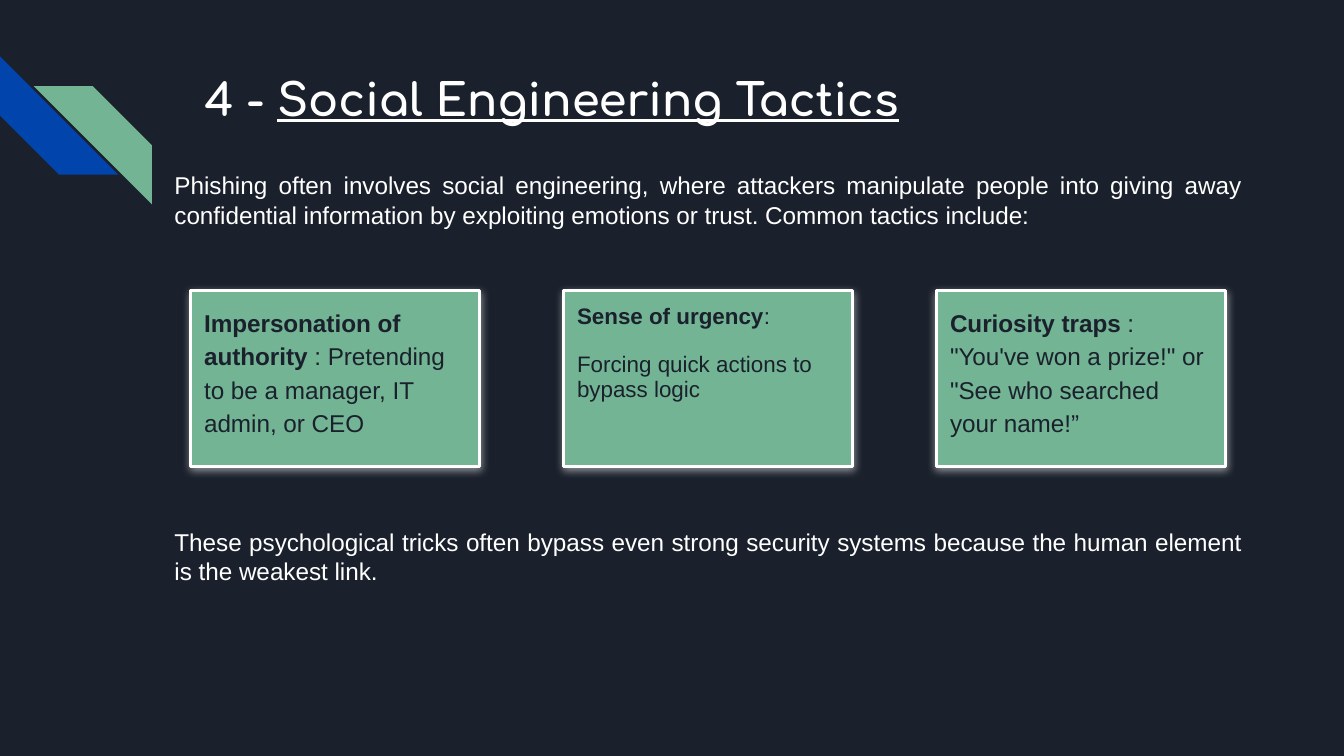
"""Build the slide on social engineering tactics."""
from lxml.etree import SubElement
from pptx import Presentation
from pptx.dml.color import RGBColor
from pptx.enum.shapes import MSO_SHAPE as Preset
from pptx.enum.text import MSO_ANCHOR as Anchor, MSO_AUTO_SIZE as AutoSize, PP_ALIGN as Align
from pptx.oxml.ns import qn
from pptx.util import Inches, Pt

NIGHT = RGBColor(0x1B, 0x21, 0x2C)
BLUE = RGBColor(0x01, 0x45, 0xAC)
GREEN = RGBColor(0x72, 0xB4, 0x94)
WHITE = RGBColor(0xFF, 0xFF, 0xFF)

SLIDE_WIDTH = 10
SLIDE_HEIGHT = SLIDE_WIDTH * 9 / 16
GRID_LEFT, GRID_RIGHT = 1.42, 9.12
CARD_TOP, CARD_WIDTH, CARD_HEIGHT = 2.16, 2.15, 1.31
STRIPE_SIZE = 0.88

FRAME = {
    "word_wrap": True,
    "auto_size": AutoSize.NONE,
    "vertical_anchor": Anchor.TOP,
    "margin_left": Inches(0.1),
    "margin_right": Inches(0.1),
    "margin_top": Inches(0.1),
    "margin_bottom": Inches(0.1),
}
HEADING = {"name": "Comfortaa", "size": Pt(24), "bold": True}
BODY = {"name": "Arial", "size": Pt(13)}
SMALL = {"name": "Arial", "size": Pt(12)}
STRONG = {"bold": True}
PLAIN = {"bold": False}
LOOSE = {"alignment": Align.LEFT, "line_spacing": 1.15, "space_after": Pt(12)}
TIGHT = {"alignment": Align.LEFT, "line_spacing": 0.95}
SPACED = TIGHT | {"space_before": Pt(12)}

INTRO = (
    "Phishing often involves social engineering, where attackers manipulate people into "
    "giving away confidential information by exploiting emotions or trust. "
    "Common tactics include:"
)
CLOSING = (
    "These psychological tricks often bypass even strong security systems because "
    "the human element is the weakest link."
)
TACTICS = [
    (BODY, [(LOOSE, [("Impersonation of authority", STRONG),
                     (" : Pretending to be a manager, IT admin, or CEO", PLAIN)])]),
    (SMALL, [(TIGHT, [("Sense of urgency", STRONG), (":", PLAIN)]),
             (SPACED, [("Forcing quick actions to bypass logic", PLAIN)])]),
    (BODY, [(LOOSE, [("Curiosity traps", STRONG),
                     (' : "You\'ve won a prize!" or "See who searched your name!”', PLAIN)])]),
]


def apply_format(target, values):
    """Set every format value on the target."""
    for attribute, value in values.items():
        setattr(target, attribute, value)


def write_text(frame, paragraphs, font, color):
    """Fill a text frame with formatted paragraphs and runs."""
    apply_format(frame, FRAME)
    for index, (layout, pieces) in enumerate(paragraphs):
        paragraph = frame.add_paragraph() if index else frame.paragraphs[0]
        apply_format(paragraph, layout)
        for wording, emphasis in pieces:
            run = paragraph.add_run()
            run.text = wording
            apply_format(run.font, font | emphasis)
            run.font.color.rgb = color


def add_stripe(slide, left, top, rotation, color):
    """Add one diagonal stripe of the corner ornament."""
    stripe = slide.shapes.add_shape(
        Preset.DIAGONAL_STRIPE, *map(Inches, (left, top, STRIPE_SIZE, STRIPE_SIZE)))
    stripe.shadow.inherit = False
    stripe.rotation = rotation
    stripe.fill.solid()
    stripe.fill.fore_color.rgb = color
    stripe.line.fill.background()


def set_title(slide):
    """Place and write the slide title."""
    title = slide.shapes.title
    apply_format(title, {"left": Inches(GRID_LEFT), "top": Inches(0.43),
                         "width": Inches(GRID_RIGHT - GRID_LEFT), "height": Inches(1)})
    pieces = [("4 - ", {}), ("Social Engineering Tactics", {"underline": True})]
    write_text(title.text_frame, [({"alignment": Align.LEFT}, pieces)], HEADING, WHITE)


def add_glow_shadow(card):
    """Give a card a soft white shadow below it."""
    card.shadow.inherit = False
    effects = card._element.spPr.find(qn("a:effectLst"))
    shadow = SubElement(effects, qn("a:outerShdw"), blurRad=str(Pt(4.5)), dist=str(Pt(1.5)),
                        dir="5400000", algn="bl", rotWithShape="0")
    tint = SubElement(shadow, qn("a:srgbClr"), val=str(WHITE))
    SubElement(tint, qn("a:alpha"), val="50000")


def add_card(slide, column, font, paragraphs):
    """Add the tactic card of one grid column."""
    pitch = (GRID_RIGHT - GRID_LEFT - CARD_WIDTH) / (len(TACTICS) - 1)
    card = slide.shapes.add_shape(
        Preset.RECTANGLE,
        *map(Inches, (GRID_LEFT + column * pitch, CARD_TOP, CARD_WIDTH, CARD_HEIGHT)))
    card.fill.solid()
    card.fill.fore_color.rgb = GREEN
    card.line.color.rgb = WHITE
    card.line.width = Pt(1.5)
    add_glow_shadow(card)
    write_text(card.text_frame, paragraphs, font, NIGHT)


def add_statement(slide, top, wording):
    """Add a justified paragraph across the slide."""
    statement = slide.shapes.add_textbox(*map(Inches, (1.2, top, 8.13, 0.64)))
    write_text(statement.text_frame, [({"alignment": Align.JUSTIFY}, [(wording, {})])],
               BODY, WHITE)


def main():
    """Assemble and save the slide."""
    deck = Presentation()
    apply_format(deck, {"slide_width": Inches(SLIDE_WIDTH),
                        "slide_height": Inches(SLIDE_HEIGHT)})
    slide = deck.slides.add_slide(deck.slide_layouts[5])
    slide.background.fill.solid()
    slide.background.fill.fore_color.rgb = NIGHT
    add_stripe(slide, 0, 0.42, 270, BLUE)
    add_stripe(slide, 0.25, 0.64, 90, GREEN)
    set_title(slide)
    for column, (font, paragraphs) in enumerate(TACTICS):
        add_card(slide, column, font, paragraphs)
    add_statement(slide, 1.17, INTRO)
    add_statement(slide, 3.82, CLOSING)
    deck.save("out.pptx")


if __name__ == "__main__":
    main()
